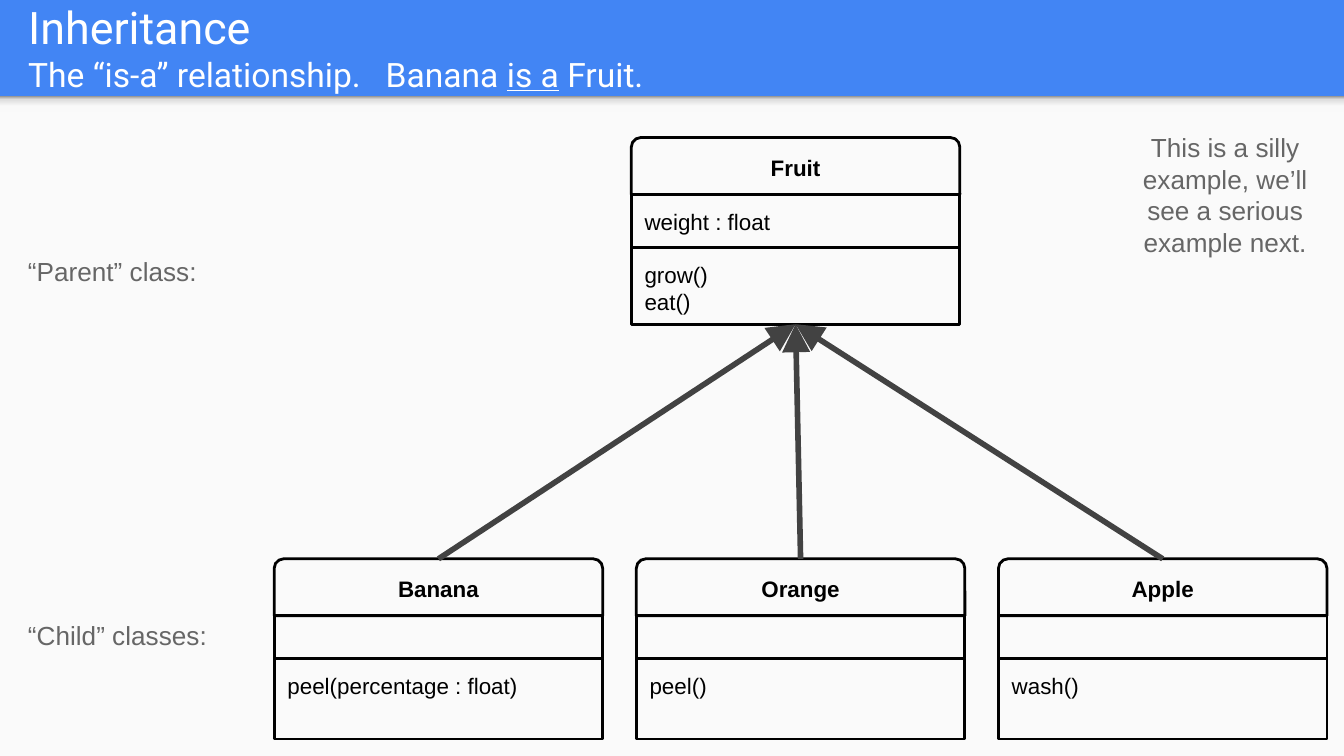
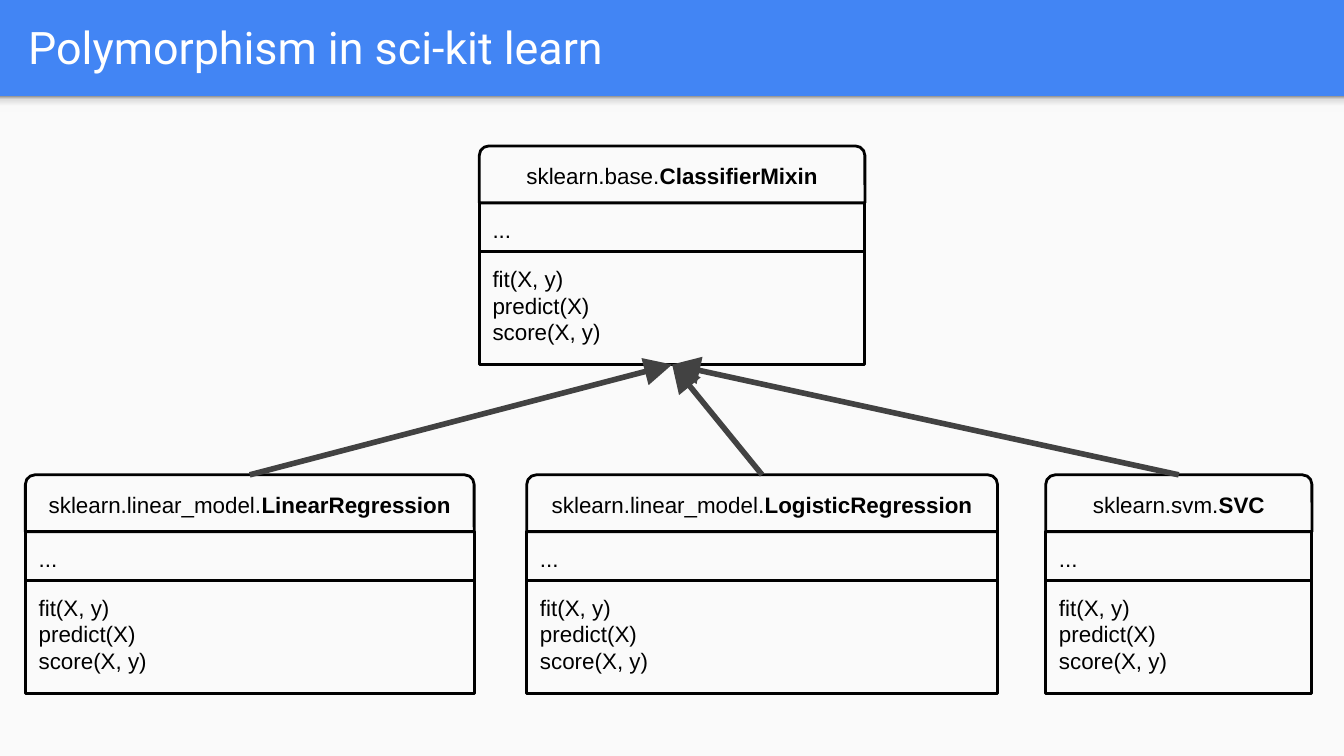
from lxml import etree
from pptx import Presentation
from pptx.dml.color import RGBColor
from pptx.enum.shapes import MSO_CONNECTOR, MSO_SHAPE
from pptx.enum.text import MSO_ANCHOR, MSO_AUTO_SIZE, PP_ALIGN
from pptx.oxml.ns import qn
from pptx.util import Pt

RECT, ROUND_TOP = MSO_SHAPE.RECTANGLE, MSO_SHAPE.ROUND_2_SAME_RECTANGLE
STRAIGHT = MSO_CONNECTOR.STRAIGHT
TOP, MIDDLE = MSO_ANCHOR.TOP, MSO_ANCHOR.MIDDLE
LEFT, CENTER = PP_ALIGN.LEFT, PP_ALIGN.CENTER

COLORS = {"band": "4285F4", "panel": "FAFAFA", "title": "FFFFFF", "label": "666666",
          "ink": "000000", "arrow": "424242"}
SHADE = [(0, "F9F9F9"), (36, "F9F9F9"), (80, "DEDEDE"), (100, "999999")]
WIDTH, HEIGHT, BAND = 720, 405, 51.6
HEAD = 30.5  # height of a class name row


def write(tf, paragraphs, size=12, font="Arial", color="ink", align=LEFT, anchor=TOP):
    """Fill a text frame; a paragraph is a list of (text, font overrides) runs."""
    tf.word_wrap = True
    tf.auto_size = MSO_AUTO_SIZE.NONE
    tf.vertical_anchor = anchor
    tf.margin_left = tf.margin_right = tf.margin_top = tf.margin_bottom = Pt(7.2)
    for i, runs in enumerate(paragraphs):
        p = tf.add_paragraph() if i else tf.paragraphs[0]
        p.alignment = align
        for text, overrides in runs:
            r = p.add_run()
            r.text = text
            r.font.name, r.font.size = font, Pt(size)
            r.font.color.rgb = RGBColor.from_string(COLORS[color])
            for name, value in overrides.items():
                setattr(r.font, name, value)


def class_box(s, left, top, width, heights, prefix, name, attribute, methods):
    """Draw a three-row class diagram and return its bottom row."""
    group = s.shapes.add_group_shape()
    rows = [(ROUND_TOP, [[(prefix, {}), (name, {"bold": True})]], CENTER, MIDDLE),
            (RECT, [[(attribute, {})]], LEFT, TOP),
            (RECT, [[(m, {})] for m in methods], LEFT, TOP)]
    for (kind, paragraphs, align, anchor), height in zip(rows, heights):
        sp = group.shapes.add_shape(kind, Pt(left), Pt(top), Pt(width), Pt(height))
        sp.shadow.inherit = False
        sp.fill.background()
        sp.line.color.rgb = RGBColor.from_string(COLORS["ink"])
        sp.line.width = Pt(1.5)
        paragraphs = [[run for run in runs if run[0]] for runs in paragraphs]
        if any(paragraphs):
            write(sp.text_frame, paragraphs, align=align, anchor=anchor)
        top += height
    return sp


prs = Presentation()
prs.slide_width, prs.slide_height = Pt(WIDTH), Pt(HEIGHT)
fill = prs.slide_master.background.fill
fill.solid()
fill.fore_color.rgb = RGBColor.from_string(COLORS["band"])

FIT = ["fit(X, y)", "predict(X)", "score(X, y)"]
SKLEARN_ROWS = (HEAD, 26, 60.6)
LINEAR = "sklearn.linear_model."

# Classes: left, top, width, row heights, prefix, name, attribute, methods
SLIDES = [
    {"title": [[("Inheritance", {})],
               [("The “is-a” relationship.\tBanana ", {"size": Pt(18)}),
                ("is a", {"size": Pt(18), "underline": True}),
                (" Fruit.", {"size": Pt(18)})]],
     "parent": (338.2, 73.7, 176, (HEAD, 28.3, 41.2),
                "", "Fruit", "weight : float", ["grow()", "eat()"]),
     "children": [(146.9 + 194 * i, 299.4, 176, (HEAD, 23, 43), "", name, "", [method])
                  for i, (name, method) in enumerate([
                      ("Banana", "peel(percentage : float)"),
                      ("Orange", "peel()"), ("Apple", "wash()")])],
     "labels": [(7.9, 129.6, 117.4, 28.8, LEFT, "“Parent” class:"),
                (7.9, 324.7, 117.4, 28.8, LEFT, "“Child” classes:"),
                (602, 63.4, 108.7, 96.5, CENTER,
                 "This is a silly example, we’ll see a serious example next.")]},
    {"title": [[("Polymorphism in sci-kit learn", {})]],
     "parent": (256.8, 78.2, 206.6, SKLEARN_ROWS,
                "sklearn.base.", "ClassifierMixin", "...", FIT),
     "children": [(left, 254.4, width, SKLEARN_ROWS, prefix, name, "...", FIT)
                  for left, width, prefix, name in [
                      (13.6, 240.4, LINEAR, "LinearRegression"),
                      (282.2, 252.2, LINEAR, "LogisticRegression"),
                      (560.2, 142.6, "sklearn.svm.", "SVC")]],
     "labels": []},
]

for content in SLIDES:
    s = prs.slides.add_slide(prs.slide_layouts[5])

    # Light panel and the shaded strip under the title band
    panel = s.shapes.add_shape(RECT, 0, Pt(BAND), Pt(WIDTH), Pt(HEIGHT - BAND))
    panel.fill.solid()
    panel.fill.fore_color.rgb = RGBColor.from_string(COLORS["panel"])
    strip = s.shapes.add_shape(RECT, 0, Pt(BAND), Pt(WIDTH), Pt(8.6))
    strip.fill.gradient()
    strip.fill.gradient_angle = 90
    stops = strip._element.spPr.find(qn("a:gradFill")).find(qn("a:gsLst"))
    for stop in list(stops):
        stops.remove(stop)
    for position, shade in SHADE:
        stop = etree.SubElement(stops, qn("a:gs"), pos=str(position * 1000))
        etree.SubElement(stop, qn("a:srgbClr"), val=shade)
    for sp in (panel, strip):
        sp.line.fill.background()
        sp.shadow.inherit = False

    # Title, with a tab stop for the example in the second line
    title = s.shapes.title
    title.left, title.top, title.width, title.height = Pt(7.9), Pt(1.4), Pt(694.8), Pt(47.5)
    write(title.text_frame, content["title"], size=24, font="Roboto",
          color="title", anchor=MIDDLE)
    for p in title.text_frame.paragraphs[1:]:
        tabs = etree.SubElement(p._p.get_or_add_pPr(), qn("a:tabLst"))
        etree.SubElement(tabs, qn("a:tab"), pos=str(Pt(191.5)), algn="l")

    # Class diagrams
    parent = class_box(s, *content["parent"])
    for child in content["children"]:
        class_box(s, *child)

    # Arrows from each child class up to the parent class
    for left, top, width, *_ in content["children"]:
        arrow = s.shapes.add_connector(STRAIGHT, Pt(left + width / 2), Pt(top), 0, 0)
        arrow.end_connect(parent, 2)
        arrow.line.color.rgb = RGBColor.from_string(COLORS["arrow"])
        arrow.line.width = Pt(3)
        etree.SubElement(arrow.line._get_or_add_ln(), qn("a:tailEnd"),
                         type="triangle", w="lg", len="lg")
        etree.SubElement(arrow._element.spPr, qn("a:effectLst"))

    # Side labels
    for left, top, width, height, align, text in content["labels"]:
        sp = s.shapes.add_textbox(Pt(left), Pt(top), Pt(width), Pt(height))
        write(sp.text_frame, [[(text, {})]], size=14, color="label", align=align)

prs.save("out.pptx")
